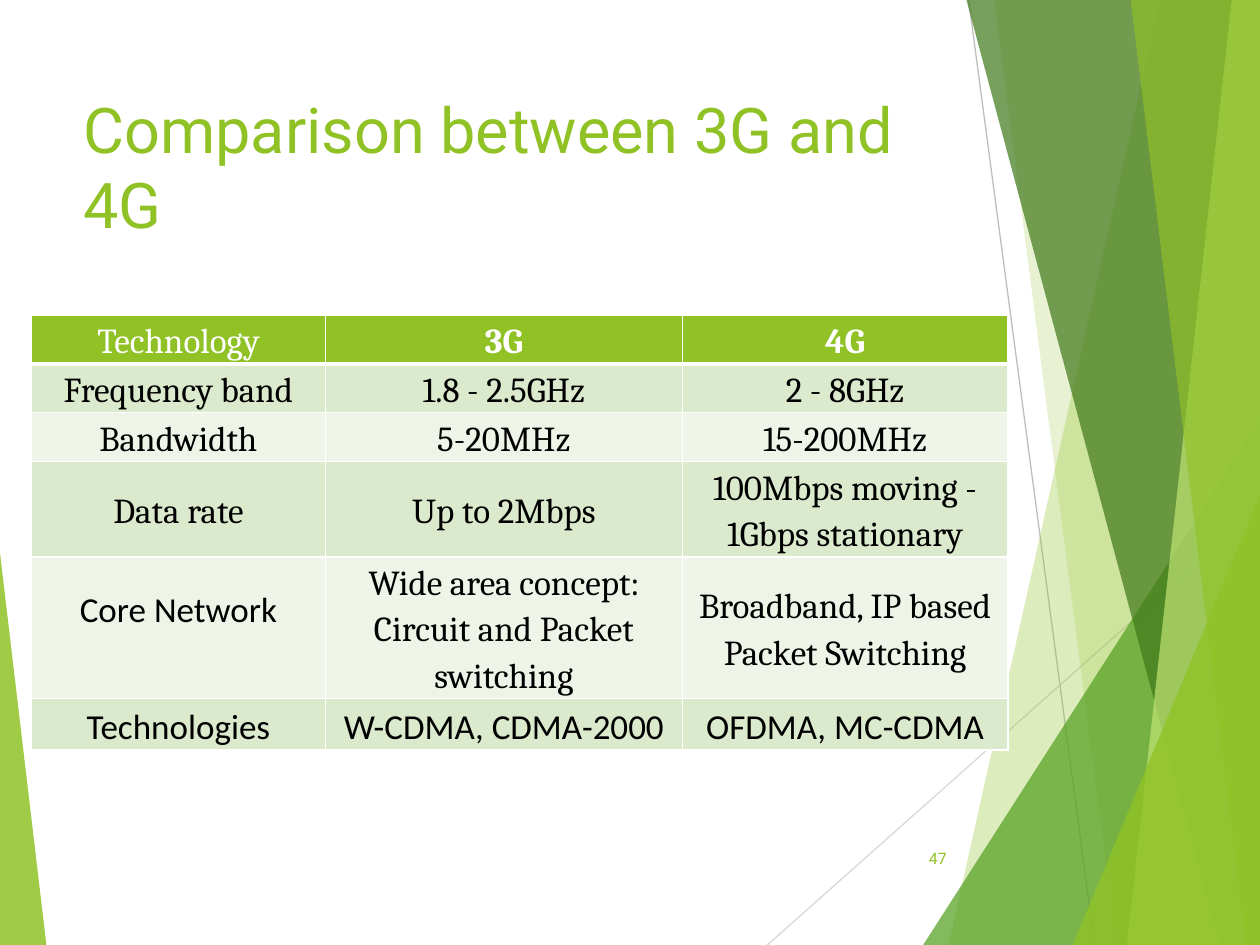
from lxml import etree
from pptx import Presentation
from pptx.dml.color import RGBColor
from pptx.enum import shapes, text
from pptx.oxml.ns import qn
from pptx.util import Pt

TITLE = "Comparison between 3G and 4G"
PAGE_NUMBER = "47"
COMPARISON = [
    ("Technology", "3G", "4G"),
    ("Frequency band", "1.8 - 2.5GHz", "2 - 8GHz"),
    ("Bandwidth", "5-20MHz", "15-200MHz"),
    ("Data rate", "Up to 2Mbps", "100Mbps moving - 1Gbps stationary"),
    ("Core Network", "Wide area concept: Circuit and Packet switching",
     "Broadband, IP based Packet Switching"),
    ("Technologies", "W-CDMA, CDMA-2000", "OFDMA, MC-CDMA"),
]
COLUMN_WIDTHS = (168, 204, 186)
ROW_HEIGHTS = (19.4, 19.4, 19.4, 37.4, 19.4, 19.4)
CALIBRI_TEXTS = {"Core Network", *COMPARISON[-1]}
RAISED_TEXT, RAISED_MARGIN = "Core Network", 24

THEME = {
    "green": "90C226", "white": "FFFFFF", "black": "000000",
    "bands": ("EEF4E8", "DBE9CD"),
    "title_size": 36, "table_size": 20, "number_size": 9,
    "heading_font": "Roboto", "table_font": "Cambria", "plain_font": "Calibri",
}

WIDTH, HEIGHT = 720, 540
GUIDE_LINES = [  # start, end, colour
    ((553.5, 0), (625.5, HEIGHT), "BFBFBF"),
    ((WIDTH, 290), (438.5, HEIGHT), "D9D9D9"),
]
# Bands run from a slanted left edge (x at top, x at bottom) to the slide's right edge.
# Triangles stand on the slide's bottom: left, top, width, apex position.
FACETS = [
    ("band", (663, 542), "90C226", 30),
    ("band", (567.5, 638.5), "90C226", 20),
    ("triangle", (527.5, 240, 192.5, 1), "54A021", 72),
    ("band", (551.5, 697), "3F7819", 70),
    ("band", (704, 643.5), "C0E474", 70),
    ("band", (646, 711.5), "90C226", 65),
    ("triangle", (613, 283, 107, 1), "90C226", 80),
    ("triangle", (0, 316, 26.5, 0), "90C226", 85),
]


def rgb(value):
    return RGBColor.from_string(value)


def set_format(target, formats):
    for name, value in formats.items():
        setattr(target, name, value)


def write(frame, words, font, size, color, bold=False, **paragraph_format):
    frame.text = words
    paragraph = frame.paragraphs[0]
    set_format(paragraph, paragraph_format)
    run_font = paragraph.runs[0].font
    set_format(run_font, {"name": font, "size": Pt(size), "bold": bold})
    run_font.color.rgb = rgb(color)


def add_guide_line(slide, start, end, color):
    guide = slide.shapes.add_connector(
        shapes.MSO_CONNECTOR.STRAIGHT, *(Pt(v) for v in start + end))
    guide.line.color.rgb = rgb(color)
    guide.line.width = Pt(0.75)
    etree.SubElement(guide._element.spPr, qn("a:effectLst"))


def add_facet(slide, kind, geometry, color, opacity):
    if kind == "band":
        top_x, bottom_x = geometry
        builder = slide.shapes.build_freeform(top_x, -0.72, scale=Pt(1))
        builder.add_line_segments(
            [(WIDTH, -0.72), (WIDTH, HEIGHT), (bottom_x, HEIGHT)], close=True)
        facet = builder.convert_to_shape()
    else:
        left, top, width, apex = geometry
        facet = slide.shapes.add_shape(
            shapes.MSO_SHAPE.ISOSCELES_TRIANGLE,
            Pt(left), Pt(top), Pt(width), Pt(HEIGHT - top))
        facet.adjustments[0] = apex
    facet.shadow.inherit = False
    facet.line.fill.background()
    facet.fill.solid()
    facet.fill.fore_color.rgb = rgb(color)
    swatch = facet._element.spPr.find(qn("a:solidFill"))[0]
    etree.SubElement(swatch, qn("a:alpha"), val=str(opacity * 1000))


def set_borders(cell, bottom_width):
    """Draw white cell borders; call before filling the cell."""
    properties = cell._tc.get_or_add_tcPr()
    for side, width in {"L": 1, "R": 1, "T": 1, "B": bottom_width}.items():
        border = etree.SubElement(properties, qn(f"a:ln{side}"), w=str(Pt(width)))
        fill = etree.SubElement(border, qn("a:solidFill"))
        etree.SubElement(fill, qn("a:srgbClr"), val=THEME["white"])


def add_comparison(slide):
    table = slide.shapes.add_table(
        len(COMPARISON), len(COLUMN_WIDTHS), Pt(18), Pt(180),
        Pt(sum(COLUMN_WIDTHS)), Pt(sum(ROW_HEIGHTS))).table
    table.horz_banding = False
    for column, width in zip(table.columns, COLUMN_WIDTHS):
        column.width = Pt(width)
    for r, (entries, height) in enumerate(zip(COMPARISON, ROW_HEIGHTS)):
        table.rows[r].height = Pt(height)
        header = r == 0
        for c, words in enumerate(entries):
            cell = table.cell(r, c)
            set_borders(cell, 3 if header else 1)
            cell.fill.solid()
            cell.fill.fore_color.rgb = rgb(
                THEME["green"] if header else THEME["bands"][r % 2])
            bottom = RAISED_MARGIN if words == RAISED_TEXT else 0.72
            set_format(cell, {
                "vertical_anchor": text.MSO_ANCHOR.MIDDLE,
                "margin_left": Pt(0.72), "margin_right": Pt(0.72),
                "margin_top": Pt(0.72), "margin_bottom": Pt(bottom)})
            font = "plain_font" if words in CALIBRI_TEXTS else "table_font"
            write(cell.text_frame, words, THEME[font], THEME["table_size"],
                  THEME["white" if header else "black"], bold=header and c > 0,
                  alignment=text.PP_ALIGN.CENTER, line_spacing=1.15)


def add_title(slide):
    title = slide.shapes.title
    set_format(title, {"left": Pt(40.5), "top": Pt(48),
                       "width": Pt(530), "height": Pt(66)})
    set_format(title.text_frame, {
        "word_wrap": True, "auto_size": text.MSO_AUTO_SIZE.NONE,
        "vertical_anchor": text.MSO_ANCHOR.TOP})
    write(title.text_frame, TITLE, THEME["heading_font"], THEME["title_size"],
          THEME["green"], alignment=text.PP_ALIGN.LEFT)


def add_page_number(slide):
    number = slide.shapes.add_textbox(Pt(507.5), Pt(476), Pt(40.5), Pt(28.8))
    set_format(number.text_frame, {
        "word_wrap": True, "vertical_anchor": text.MSO_ANCHOR.MIDDLE})
    write(number.text_frame, PAGE_NUMBER, THEME["heading_font"],
          THEME["number_size"], THEME["green"], alignment=text.PP_ALIGN.RIGHT)


def main():
    deck = Presentation()
    set_format(deck, {"slide_width": Pt(WIDTH), "slide_height": Pt(HEIGHT)})
    slide = deck.slides.add_slide(deck.slide_layouts.get_by_name("Title Only"))
    for guide in GUIDE_LINES:
        add_guide_line(slide, *guide)
    for facet in FACETS:
        add_facet(slide, *facet)
    add_comparison(slide)
    add_title(slide)
    add_page_number(slide)
    deck.save("out.pptx")


if __name__ == "__main__":
    main()
